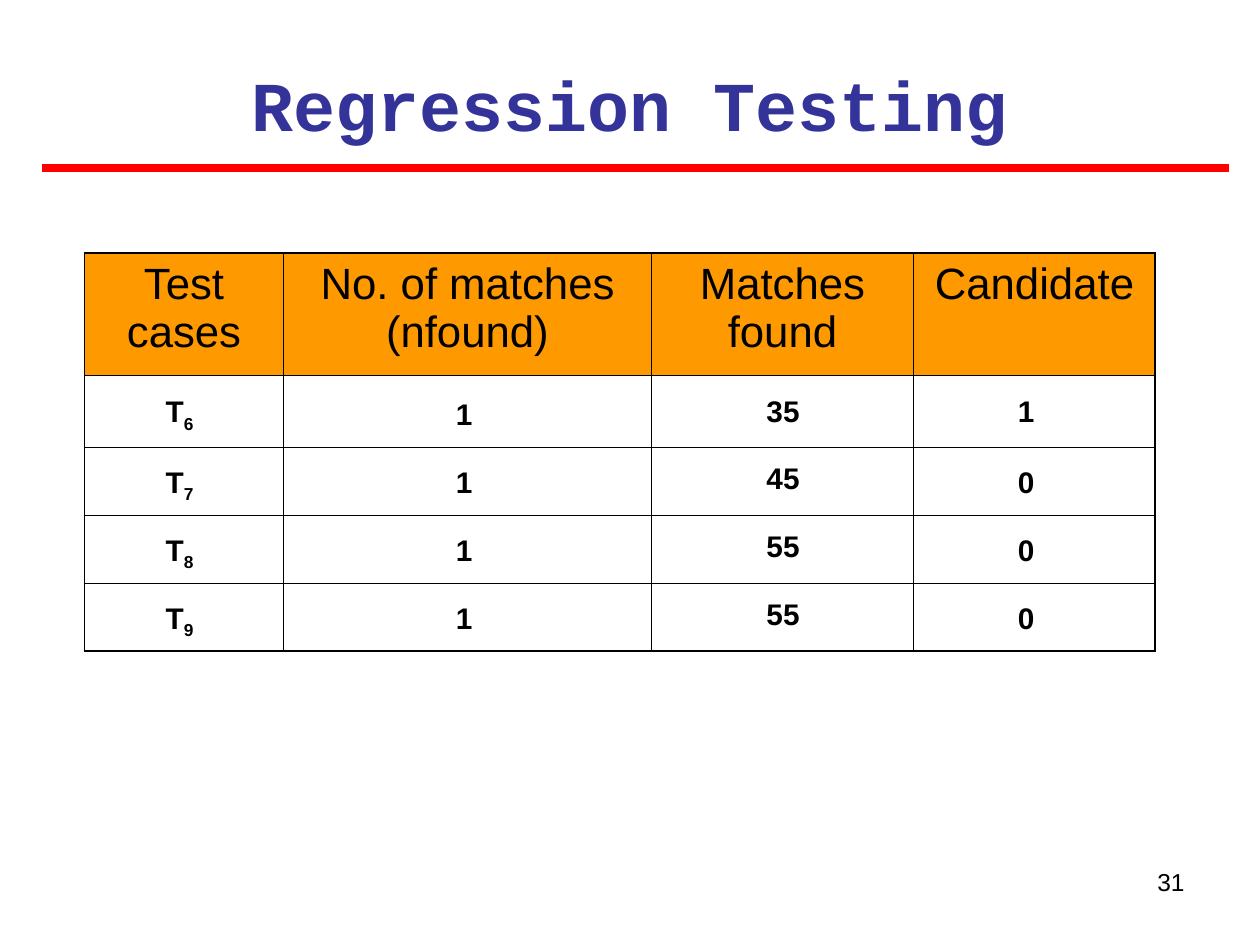
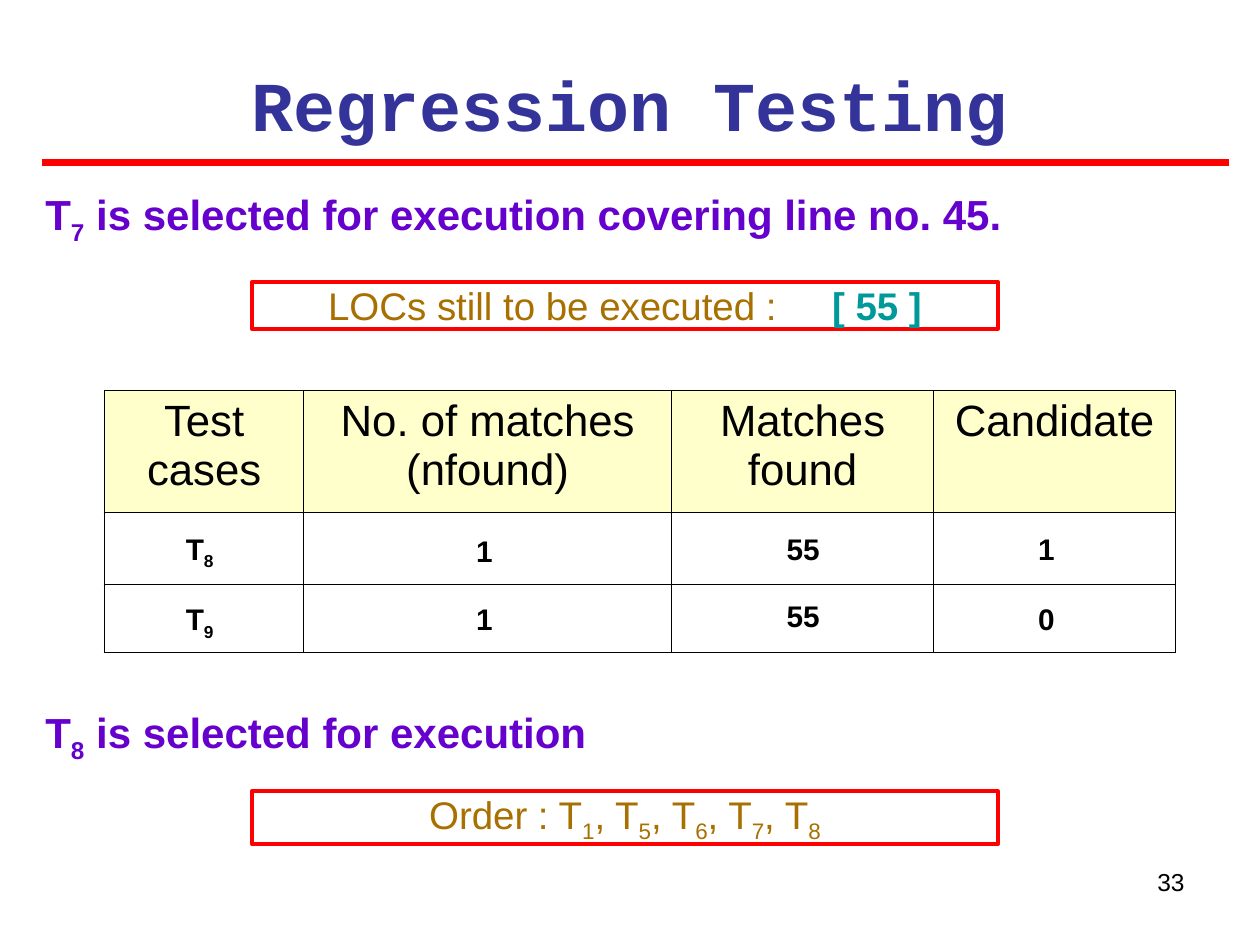
from itertools import accumulate

from lxml.etree import SubElement
from pptx import Presentation
from pptx.dml.color import RGBColor
from pptx.enum.shapes import MSO_CONNECTOR, MSO_SHAPE
from pptx.enum.text import MSO_ANCHOR as Anchor, PP_ALIGN as Align
from pptx.oxml.ns import qn
from pptx.util import Inches, Pt

BLACK = RGBColor(0x00, 0x00, 0x00)
RED = RGBColor(0xFF, 0x00, 0x00)
NAVY = RGBColor(0x33, 0x33, 0x99)
PURPLE = RGBColor(0x66, 0x00, 0xCC)
BROWN = RGBColor(0xA8, 0x70, 0x00)
TEAL = RGBColor(0x00, 0x99, 0x99)
ORANGE = RGBColor(0xFF, 0x99, 0x00)
CREAM = RGBColor(0xFF, 0xFF, 0xCC)

HEADINGS = ("Test cases", "No. of matches (nfound)", "Matches found", "Candidate")
COLUMN_WIDTHS = (1.58, 2.92, 2.08, 1.92)
HEADING_HEIGHT, FIRST_HEIGHT, ROW_HEIGHT = 0.97, 0.57, 0.54
INNER_BORDER, OUTER_BORDER = Pt(0.45), Pt(1.08)

# Value boxes: left edge within the table, width, drop in first row, drop in later rows
VALUE_PLACES = (
    (0.42, 0.67, 0.14, 0.13),
    (2.68, 0.67, 0.16, 0.13),
    (5.01, 1.07, 0.14, 0.1),
    (7.14, 0.67, 0.14, 0.13),
)


def write(frame, text, size, color, align=Align.CENTER, bold=False, font="Arial",
          margins=(0, 0, 0, 0), anchor=Anchor.TOP):
    """Fill a text frame; the character after each underscore is a subscript."""
    frame.word_wrap = True
    frame.vertical_anchor = anchor
    (frame.margin_left, frame.margin_top,
     frame.margin_right, frame.margin_bottom) = map(Inches, margins)
    paragraph = frame.paragraphs[0]
    paragraph.alignment = align
    if "\t" in text:
        add_inch_tabs(paragraph)
    style(paragraph.font, size, color, bold, font)
    plain, *parts = text.split("_")
    if plain:
        paragraph.add_run().text = plain
    for part in parts:
        subscript = paragraph.add_run()
        subscript.text = part[0]
        subscript.font._element.set("baseline", "-25000")
        if part[1:]:
            paragraph.add_run().text = part[1:]
    return paragraph


def style(font, size, color, bold, name):
    font.name, font.size, font.bold = name, Pt(size), bold
    font.color.rgb = color


def add_inch_tabs(paragraph):
    stops = SubElement(paragraph._p.get_or_add_pPr(), qn("a:tabLst"))
    for inch in range(8):
        SubElement(stops, qn("a:tab"), pos=str(Inches(inch)), algn="l")


def add_text(slide, box, text, size, color, **options):
    frame = slide.shapes.add_textbox(*map(Inches, box)).text_frame
    return write(frame, text, size, color, **options)


def add_frame(slide, number, rule_top):
    """Title, red rule and page number that every slide carries."""
    rule = slide.shapes.add_connector(
        MSO_CONNECTOR.STRAIGHT, Inches(0.33), Inches(rule_top),
        Inches(9.75), Inches(rule_top))
    rule.line.color.rgb = RED
    rule.line.width = Pt(4.5)
    SubElement(rule._element.spPr, qn("a:effectLst"))
    add_text(slide, (0.33, 0.35, 9.33, 0.77), "Regression Testing", 40, NAVY,
             bold=True, font="Courier New", margins=(0.1, 0.14, 0.1, 0))
    add_text(slide, (7.17, 6.83, 2.33, 0.52), str(number), 14, BLACK,
             align=Align.RIGHT, margins=(0.1, 0.05, 0.1, 0.05))


def set_borders(cell, outer_sides):
    properties = cell._tc.get_or_add_tcPr()
    for side in "LRTB":
        width = OUTER_BORDER if side in outer_sides else INNER_BORDER
        border = SubElement(properties, qn(f"a:ln{side}"), w=str(width))
        fill = SubElement(border, qn("a:solidFill"))
        SubElement(fill, qn("a:srgbClr"), val=str(BLACK))


def add_coverage_table(slide, left, top, heading_fill, records):
    heights = [HEADING_HEIGHT, FIRST_HEIGHT] + [ROW_HEIGHT] * (len(records) - 1)
    table = slide.shapes.add_table(
        len(heights), len(HEADINGS), Inches(left), Inches(top),
        Inches(sum(COLUMN_WIDTHS)), Inches(sum(heights))).table
    table.first_row = table.horz_banding = False
    for column, width in zip(table.columns, COLUMN_WIDTHS):
        column.width = Inches(width)
    last_row, last_column = len(heights) - 1, len(HEADINGS) - 1
    for r, height in enumerate(heights):
        table.rows[r].height = Inches(height)
        for c, heading in enumerate(HEADINGS):
            cell = table.cell(r, c)
            edges = {"L": c == 0, "R": c == last_column, "T": r == 0, "B": r == last_row}
            set_borders(cell, [side for side, outer in edges.items() if outer])
            if r == 0:
                cell.fill.solid()
                cell.fill.fore_color.rgb = heading_fill
                write(cell.text_frame, heading, 25, BLACK, margins=(0.1, 0.05, 0.1, 0.05))
            else:
                cell.fill.background()
    for r, (record, row_top) in enumerate(zip(records, accumulate(heights))):
        for value, (x, width, first_drop, drop) in zip(record, VALUE_PLACES):
            y = top + row_top + (drop if r else first_drop)
            height = 0.32 if "_" in value else 0.28
            add_text(slide, (left + x, y, width, height), value, 17, BLACK, bold=True)


def add_selection(slide, top, text):
    add_text(slide, (0.36, top, 9.25, 0.46), text, 24, PURPLE,
             align=Align.JUSTIFY, bold=True)


def add_boxed_note(slide, top, height, text):
    note = slide.shapes.add_shape(
        MSO_SHAPE.RECTANGLE, Inches(2), Inches(top), Inches(5.92), Inches(height))
    note.shadow.inherit = False
    note.fill.background()
    note.line.color.rgb = RED
    note.line.width = Pt(2.25)
    return write(note.text_frame, text, 22, BROWN, anchor=Anchor.MIDDLE)


def build_four_candidates(slide):
    add_frame(slide, 31, 1.33)
    add_coverage_table(slide, 0.67, 2.01, ORANGE, (
        ("T_6", "1", "35", "1"),
        ("T_7", "1", "45", "0"),
        ("T_8", "1", "55", "0"),
        ("T_9", "1", "55", "0"),
    ))


def build_two_candidates(slide):
    add_frame(slide, 33, 1.29)
    add_selection(slide, 1.5, "T_7 is selected for execution covering line no. 45.")
    remaining = add_boxed_note(slide, 2.24, 0.37, "LOCs still to be executed : \t")
    lines = remaining.add_run()
    lines.text = "[ 55 ]"
    lines.font.bold = True
    lines.font.color.rgb = TEAL
    add_coverage_table(slide, 0.83, 3.1, CREAM, (
        ("T_8", "1", "55", "1"),
        ("T_9", "1", "55", "0"),
    ))
    add_selection(slide, 5.61, "T_8 is selected for execution")
    add_boxed_note(slide, 6.28, 0.42, "Order : T_1, T_5, T_6, T_7, T_8")


def main():
    deck = Presentation()
    deck.slide_width, deck.slide_height = Inches(10), Inches(7.5)
    blank = deck.slide_layouts[6]
    for build in (build_four_candidates, build_two_candidates):
        build(deck.slides.add_slide(blank))
    deck.save("out.pptx")


if __name__ == "__main__":
    main()
